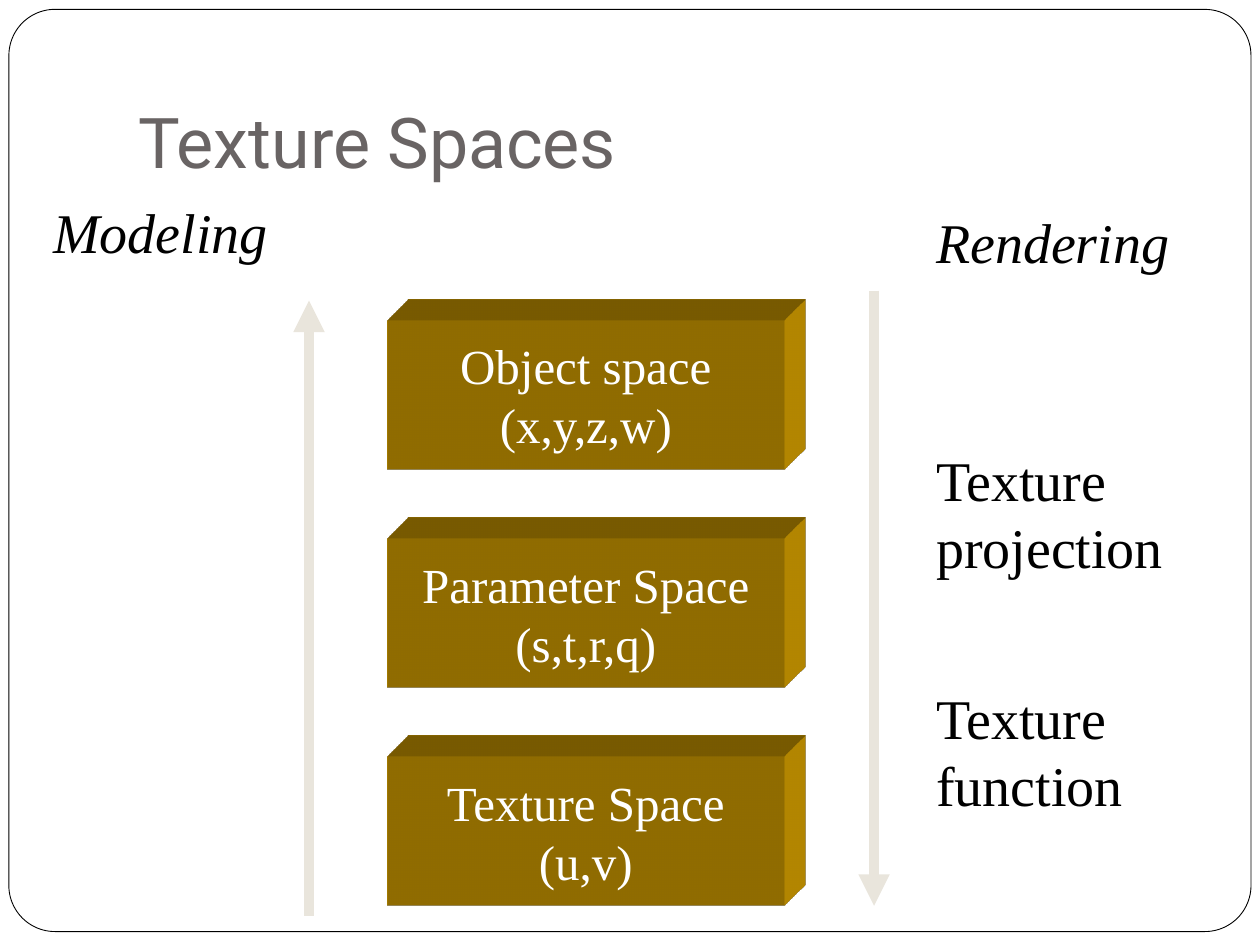
from lxml.etree import SubElement
from pptx import Presentation
from pptx.dml.color import RGBColor
from pptx.enum.shapes import MSO_CONNECTOR, MSO_SHAPE
from pptx.enum.text import MSO_ANCHOR, PP_ALIGN
from pptx.oxml.ns import qn
from pptx.util import Cm, Pt

TITLE = "Texture Spaces"
SPACES = ["Object space\v(x,y,z,w)", "Parameter Space\v(s,t,r,q)", "Texture Space\v(u,v)"]
# text, left, top, height, italic
LABELS = [
    ("Rendering", 18.62, 4.06, 1.6, True),
    ("Modeling", 0.82, 3.86, 1.6, True),
    ("Texture projection", 18.62, 8.86, 2.97, False),
    ("Texture function", 18.62, 13.66, 2.97, False),
]
# x, start y, end y
ARROWS = [(17.62, 5.86, 18.26), (6.23, 18.46, 6.06)]

LABEL_WIDTH = 5.79
BLOCK_LEFT, BLOCK_TOP, BLOCK_WIDTH, BLOCK_HEIGHT = 7.81, 6.46, 8, 3
BLOCK_STEP, BLOCK_DEPTH = 4.4, 1.2
BLOCK_COLOR = "CC9900"
SERIF = "Times New Roman"


def color(hex_code):
    return RGBColor.from_string(hex_code)


def format_text(frame, font_name, size, hex_code, align=PP_ALIGN.LEFT, italic=False):
    for paragraph in frame.paragraphs:
        paragraph.alignment = align
        for run in paragraph.runs:
            run.font.name = font_name
            run.font.size = Pt(size)
            run.font.italic = italic
            run.font.color.rgb = color(hex_code)


def extrude(shape, depth, hex_code):
    """Give the shape depth towards the top right."""
    properties = shape._element.spPr
    scene = SubElement(properties, qn("a:scene3d"))
    SubElement(scene, qn("a:camera"), prst="legacyObliqueTopRight")
    SubElement(scene, qn("a:lightRig"), rig="legacyFlat3", dir="b")
    solid = SubElement(properties, qn("a:sp3d"),
                       extrusionH=str(Cm(depth)), prstMaterial="legacyMatte")
    for bevel in ("a:bevelT", "a:bevelB"):
        SubElement(solid, qn(bevel), w="13500", h="13500", prst="angle")
    extrusion = SubElement(solid, qn("a:extrusionClr"))
    SubElement(extrusion, qn("a:srgbClr"), val=hex_code)


def add_block(shapes, text, top):
    block = shapes.add_shape(MSO_SHAPE.RECTANGLE, Cm(BLOCK_LEFT), Cm(top),
                             Cm(BLOCK_WIDTH), Cm(BLOCK_HEIGHT))
    block.shadow.inherit = False
    block.fill.solid()
    block.fill.fore_color.rgb = color(BLOCK_COLOR)
    block.line.fill.background()
    extrude(block, BLOCK_DEPTH, BLOCK_COLOR)
    frame = block.text_frame
    frame.text = text
    frame.word_wrap = False
    frame.vertical_anchor = MSO_ANCHOR.MIDDLE
    format_text(frame, SERIF, 28, "FFFFFF", PP_ALIGN.CENTER)


def add_arrow(shapes, x, start, end):
    arrow = shapes.add_connector(MSO_CONNECTOR.STRAIGHT, Cm(x), Cm(start), Cm(x), Cm(end))
    arrow.line.color.rgb = color("E9E5DC")
    arrow.line.width = Pt(6)
    properties = arrow._element.spPr
    SubElement(properties.find(qn("a:ln")), qn("a:tailEnd"), type="triangle")
    SubElement(properties, qn("a:effectLst"))


def add_label(shapes, text, left, top, height, italic):
    label = shapes.add_textbox(Cm(left), Cm(top), Cm(LABEL_WIDTH), Cm(height))
    label.text_frame.word_wrap = True
    label.text_frame.text = text
    format_text(label.text_frame, SERIF, 32, "000000", italic=italic)


def main():
    presentation = Presentation()
    presentation.slide_width, presentation.slide_height = Cm(25.4), Cm(19.05)
    shapes = presentation.slides.add_slide(presentation.slide_layouts[5]).shapes

    border = shapes.add_shape(MSO_SHAPE.ROUNDED_RECTANGLE,
                              Cm(0.18), Cm(0.19), Cm(25.04), Cm(18.59))
    border.adjustments[0] = 0.05
    border.shadow.inherit = False
    border.fill.background()
    border.line.color.rgb = color("000000")
    border.line.width = Pt(0.5)

    title = shapes.title
    title.left, title.top, title.width, title.height = Cm(2.54), Cm(0.75), Cm(21.59), Cm(3.17)
    frame = title.text_frame
    frame.text = TITLE
    frame.vertical_anchor = MSO_ANCHOR.BOTTOM
    frame.margin_bottom = Cm(0.25)
    format_text(frame, "Roboto", 40, "696464")

    for index, space in enumerate(SPACES):
        add_block(shapes, space, BLOCK_TOP + index * BLOCK_STEP)
    for arrow in ARROWS:
        add_arrow(shapes, *arrow)
    for label in LABELS:
        add_label(shapes, *label)

    presentation.save("out.pptx")


if __name__ == "__main__":
    main()
